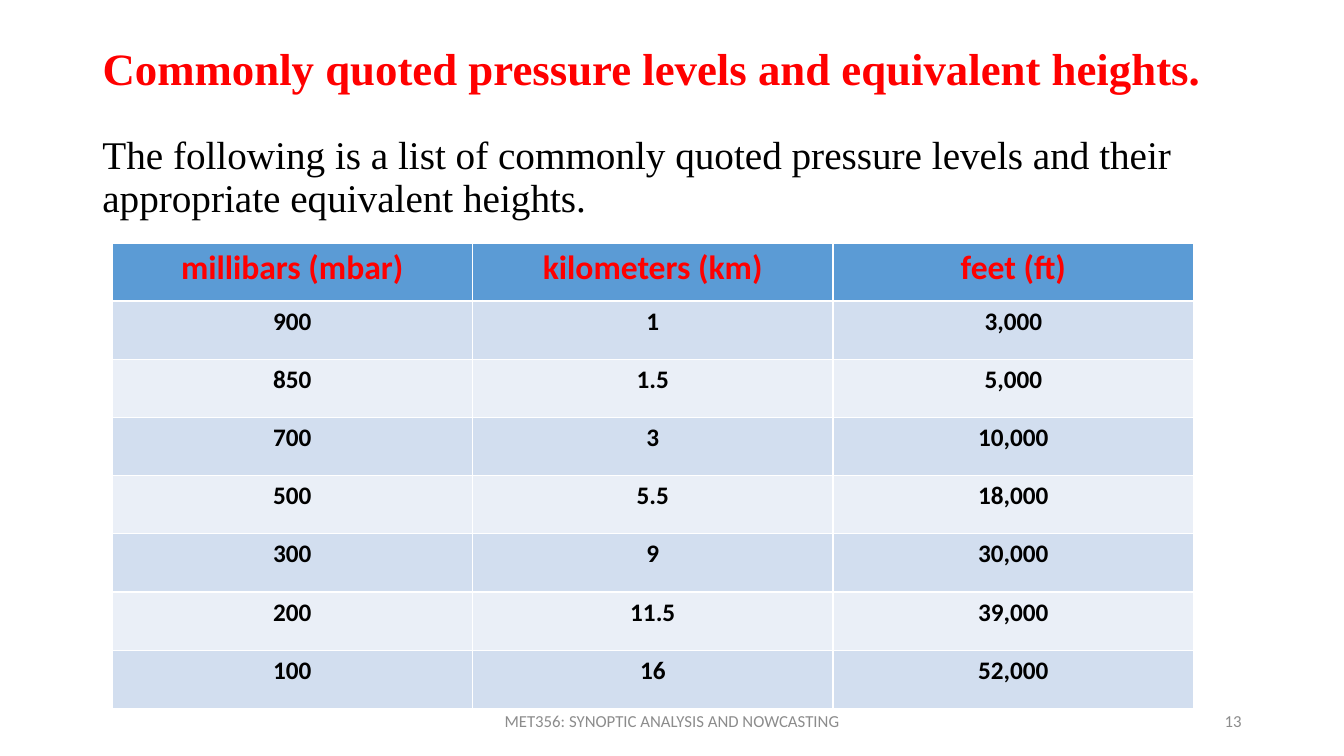
from dataclasses import dataclass

from pptx import Presentation
from pptx.dml.color import RGBColor
from pptx.enum.text import MSO_ANCHOR as Anchor, MSO_AUTO_SIZE as Fit, PP_ALIGN as Align
from pptx.util import Inches, Pt

WIDE, HIGH = Inches(13.33), Inches(7.5)
SERIF, SANS = "Times New Roman", "Calibri"
RED, BLACK, GRAY = "FF0000", "000000", "8C8C8C"
HEAD, BANDS = "5B9BD5", ("D2DEEF", "EAEFF7")

LEVELS = (
    ("millibars (mbar)", "kilometers (km)", "feet (ft)"),
    ("900", "1", "3,000"),
    ("850", "1.5", "5,000"),
    ("700", "3", "10,000"),
    ("500", "5.5", "18,000"),
    ("300", "9", "30,000"),
    ("200", "11.5", "39,000"),
    ("100", "16", "52,000"),
)


@dataclass(frozen=True)
class Box:
    """A frame in percent of the slide's width and height."""
    left: float
    top: float
    width: float
    height: float

    def frame(self) -> tuple[int, int, int, int]:
        return (int(WIDE * self.left / 100), int(HIGH * self.top / 100),
                int(WIDE * self.width / 100), int(HIGH * self.height / 100))


@dataclass(frozen=True)
class Style:
    font: str
    size: int
    color: str
    bold: bool = False
    align: Align = Align.LEFT
    line: float = 1.0
    before: int = 0


@dataclass(frozen=True)
class Label:
    text: str
    box: Box
    style: Style
    anchor: Anchor = Anchor.MIDDLE


TITLE = Label("Commonly quoted pressure levels and equivalent heights.",
              Box(6.88, 5.33, 86.25, 8.13), Style(SERIF, 32, RED, True, line=0.9))
LABELS = (
    Label("The following is a list of commonly quoted pressure levels "
          "and their appropriate equivalent heights.",
          Box(6.88, 17.33, 86.25, 72.8),
          Style(SERIF, 28, BLACK, line=0.9, before=10), Anchor.TOP),
    Label("MET356: SYNOPTIC ANALYSIS AND NOWCASTING",
          Box(33.13, 92.67, 33.75, 5.33), Style(SANS, 12, GRAY, align=Align.CENTER)),
    Label("13", Box(70.63, 92.67, 22.5, 5.33), Style(SANS, 12, GRAY, align=Align.RIGHT)),
)
GRID = Box(8.33, 32.13, 80.48, 61.6)
HEADER = Style(SANS, 24, RED, True, Align.CENTER)
VALUE = Style(SANS, 18, BLACK, True, Align.CENTER)


def tint(code: str) -> RGBColor:
    return RGBColor.from_string(code)


def write(frame, text: str, style: Style) -> None:
    frame.text = text
    para = frame.paragraphs[0]
    para.alignment = style.align
    para.line_spacing = style.line
    para.space_before = Pt(style.before)
    font = para.font
    font.name, font.size, font.bold = style.font, Pt(style.size), style.bold
    font.color.rgb = tint(style.color)


def place(shape, label: Label) -> None:
    shape.left, shape.top, shape.width, shape.height = label.box.frame()
    frame = shape.text_frame
    frame.word_wrap = True
    frame.auto_size = Fit.NONE
    frame.vertical_anchor = label.anchor
    write(frame, label.text, label.style)


def add_levels(slide) -> None:
    box = GRID.frame()
    table = slide.shapes.add_table(len(LEVELS), len(LEVELS[0]), *box).table
    for row, values in enumerate(LEVELS):
        style, fill = (VALUE, BANDS[(row - 1) % 2]) if row else (HEADER, HEAD)
        for col, text in enumerate(values):
            cell = table.cell(row, col)
            cell.fill.solid()
            cell.fill.fore_color.rgb = tint(fill)
            write(cell.text_frame, text, style)


def main() -> None:
    deck = Presentation()
    deck.slide_width, deck.slide_height = WIDE, HIGH
    slide = deck.slides.add_slide(deck.slide_layouts.get_by_name("Title Only"))
    place(slide.shapes.title, TITLE)
    for label in LABELS:
        place(slide.shapes.add_textbox(*label.box.frame()), label)
    add_levels(slide)
    deck.save("out.pptx")


if __name__ == "__main__":
    main()
